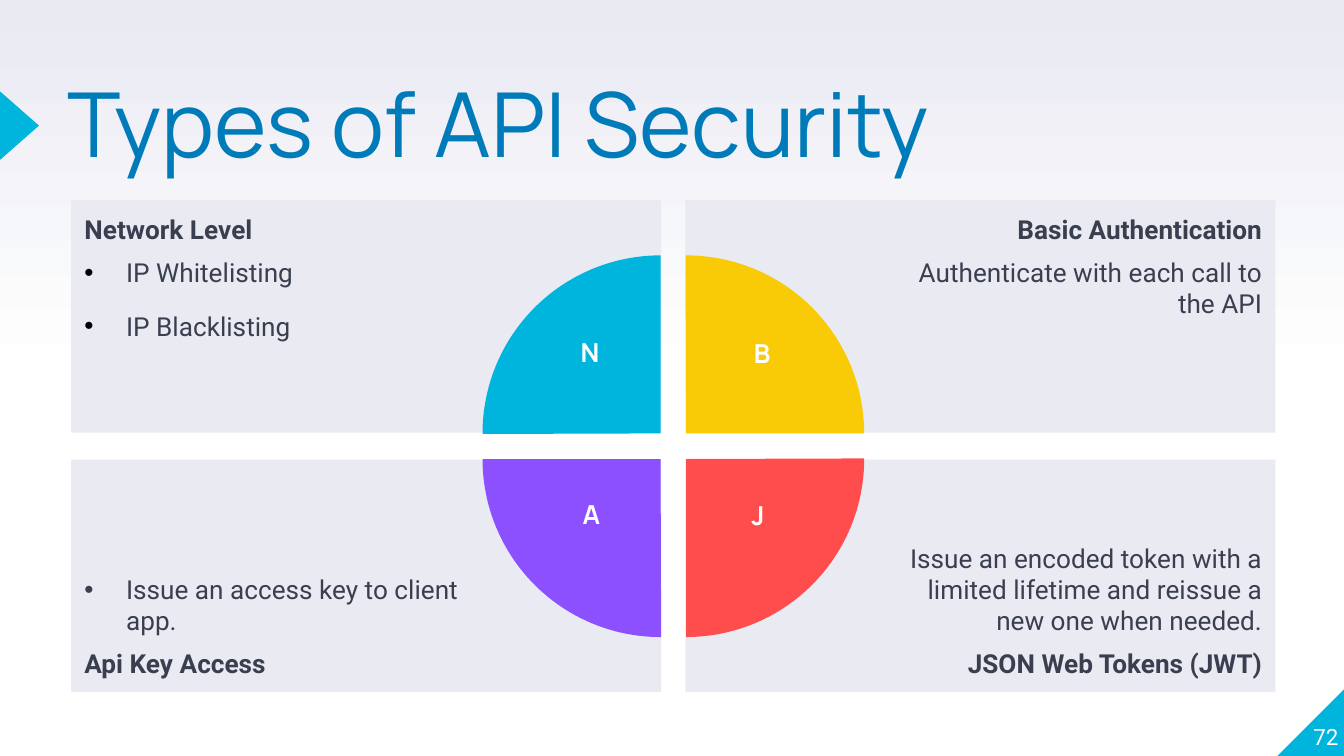
from lxml import etree
from pptx import Presentation
from pptx.dml.color import RGBColor
from pptx.enum.shapes import MSO_SHAPE
from pptx.enum.text import MSO_ANCHOR, PP_ALIGN
from pptx.oxml.ns import qn
from pptx.util import Inches, Pt

RECTANGLE = MSO_SHAPE.RECTANGLE
PIE = MSO_SHAPE.PIE
TRIANGLE = MSO_SHAPE.ISOSCELES_TRIANGLE
RIGHT_TRIANGLE = MSO_SHAPE.RIGHT_TRIANGLE
TOP, BOTTOM = MSO_ANCHOR.TOP, MSO_ANCHOR.BOTTOM
LEFT, CENTER, RIGHT = PP_ALIGN.LEFT, PP_ALIGN.CENTER, PP_ALIGN.RIGHT

WHITE = RGBColor(0xFF, 0xFF, 0xFF)
BLACK = RGBColor(0x00, 0x00, 0x00)
PALE = RGBColor(0xE9, 0xEA, 0xF2)
INK = RGBColor(0x3A, 0x3F, 0x50)
BLUE = RGBColor(0x00, 0x7B, 0xB9)
CYAN = RGBColor(0x00, 0xB5, 0xDD)
YELLOW = RGBColor(0xF9, 0xCB, 0x07)
RED = RGBColor(0xFF, 0x4D, 0x4D)
PURPLE = RGBColor(0x8C, 0x50, 0xFF)

HEADING_FONT, BODY_FONT = "Manrope", "Roboto"
SLIDE_WIDTH = 10
SLIDE_HEIGHT = SLIDE_WIDTH * 9 / 16
GRID_LEFT, GRID_TOP = 0.53, 1.49
PANEL_WIDTH, PANEL_HEIGHT = 4.39, 1.73
COLUMN_STEP, ROW_STEP = 4.57, 1.93
PIE_LEFT, PIE_TOP, PIE_SIZE, PIE_GAP = 3.59, 1.9, 2.65, 0.19
NARROW, WIDE = 0.1, 1.5
INDENT = 0.31

PANELS = [
    (0, 0, [("Network Level", True, None), ("IP Whitelisting", False, BLACK),
            ("IP Blacklisting", False, BLACK)]),
    (1, 0, [("Basic Authentication", True, None),
            ("Authenticate with each call to the API", False, None)]),
    (0, 1, [("Issue an access key to client app.", False, INK),
            ("Api Key Access", True, None)]),
    (1, 1, [("Issue an encoded token with a limited lifetime and reissue "
             "a new one when needed.", False, None),
            ("JSON Web Tokens (JWT)", True, None)]),
]
PIES = [(0, 0, 0, CYAN), (1, 0, 90, YELLOW), (1, 1, 180, RED), (0, 1, 270, PURPLE)]
LETTERS = [("N", 4.39, 2.45), ("B", 5.67, 2.46), ("A", 4.4, 3.66), ("J", 5.64, 3.67)]
LETTER_WIDTH, LETTER_HEIGHT = 0.5, 0.48


def set_background(slide):
    fill = slide.background.fill
    fill.gradient()
    fill.gradient_angle = 90
    for stop, position, color in zip(fill.gradient_stops, (0.5, 1), (WHITE, PALE)):
        stop.position = position
        stop.color.rgb = color


def add_filled_shape(slide, kind, left, top, width, height, color, rotation=0):
    shape = slide.shapes.add_shape(
        kind, Inches(left), Inches(top), Inches(width), Inches(height))
    shape.shadow.inherit = False
    shape.fill.solid()
    shape.fill.fore_color.rgb = color
    shape.line.fill.background()
    shape.rotation = rotation
    return shape


def set_frame(frame, anchor, left=0, top=0, right=0, bottom=0):
    frame.word_wrap = True
    frame.vertical_anchor = anchor
    frame.margin_left, frame.margin_top = Inches(left), Inches(top)
    frame.margin_right, frame.margin_bottom = Inches(right), Inches(bottom)


def add_run(paragraph, text, font, size, color, bold=False):
    run = paragraph.add_run()
    run.text = text
    run.font.name = font
    run.font.size = Pt(size)
    run.font.color.rgb = color
    run.font.bold = bold


def add_bullet(paragraph, color):
    properties = paragraph._p.get_or_add_pPr()
    properties.set("marL", str(Inches(INDENT)))
    properties.set("indent", str(-Inches(INDENT)))
    bullet_color = etree.SubElement(properties, qn("a:buClr"))
    etree.SubElement(bullet_color, qn("a:srgbClr"), val=str(color))
    etree.SubElement(properties, qn("a:buFont"), typeface="Arial")
    etree.SubElement(properties, qn("a:buChar"), char="•")


def add_title(slide, text):
    title = slide.shapes.title
    title.left, title.top = Inches(0.5), Inches(0.66)
    title.width, title.height = Inches(7.18), Inches(1.18)
    set_frame(title.text_frame, TOP)
    paragraph = title.text_frame.paragraphs[0]
    paragraph.alignment = LEFT
    paragraph.line_spacing = 0.8
    add_run(paragraph, text, HEADING_FONT, 48, BLUE)


def add_panel(slide, column, row, lines):
    panel = add_filled_shape(
        slide, RECTANGLE, GRID_LEFT + column * COLUMN_STEP,
        GRID_TOP + row * ROW_STEP, PANEL_WIDTH, PANEL_HEIGHT, PALE)
    frame = panel.text_frame
    left, right = (WIDE, NARROW) if column else (NARROW, WIDE)
    set_frame(frame, BOTTOM if row else TOP, left, NARROW, right, NARROW)
    for index, (text, bold, bullet_color) in enumerate(lines):
        paragraph = frame.add_paragraph() if index else frame.paragraphs[0]
        if bullet_color is not None:
            add_bullet(paragraph, bullet_color)
        paragraph.alignment = RIGHT if column else LEFT
        if index:
            paragraph.space_before = paragraph.space_after = Pt(6)
        add_run(paragraph, text, BODY_FONT, 14, INK, bold)


def add_quarter(slide, column, row, rotation, color):
    quarter = add_filled_shape(
        slide, PIE, PIE_LEFT + column * PIE_GAP, PIE_TOP + row * PIE_GAP,
        PIE_SIZE, PIE_SIZE, color, rotation)
    quarter.adjustments[0] = 107.89
    quarter.adjustments[1] = 162


def add_letter(slide, text, center, top):
    box = slide.shapes.add_textbox(
        Inches(center - LETTER_WIDTH / 2), Inches(top),
        Inches(LETTER_WIDTH), Inches(LETTER_HEIGHT))
    set_frame(box.text_frame, TOP, 0.1, 0.05, 0.1, 0.05)
    paragraph = box.text_frame.paragraphs[0]
    paragraph.alignment = CENTER
    add_run(paragraph, text, HEADING_FONT, 14, WHITE, True)


def add_page_number(slide, text):
    box = slide.shapes.add_textbox(
        Inches(9.46), Inches(5.07), Inches(0.5), Inches(0.51))
    set_frame(box.text_frame, BOTTOM)
    paragraph = box.text_frame.paragraphs[0]
    paragraph.alignment = RIGHT
    add_run(paragraph, text, BODY_FONT, 12, WHITE)


def main():
    presentation = Presentation()
    presentation.slide_width = Inches(SLIDE_WIDTH)
    presentation.slide_height = Inches(SLIDE_HEIGHT)
    slide = presentation.slides.add_slide(presentation.slide_layouts[5])
    set_background(slide)
    add_filled_shape(slide, RIGHT_TRIANGLE, 9.5, 5.12, 0.51, 0.51, CYAN, 270)
    add_filled_shape(slide, TRIANGLE, -0.11, 0.79, 0.51, 0.29, CYAN, 90)
    add_title(slide, "Types of API Security")
    add_page_number(slide, "72")
    for panel in PANELS:
        add_panel(slide, *panel)
    for pie in PIES:
        add_quarter(slide, *pie)
    for letter in LETTERS:
        add_letter(slide, *letter)
    presentation.save("out.pptx")


if __name__ == "__main__":
    main()
